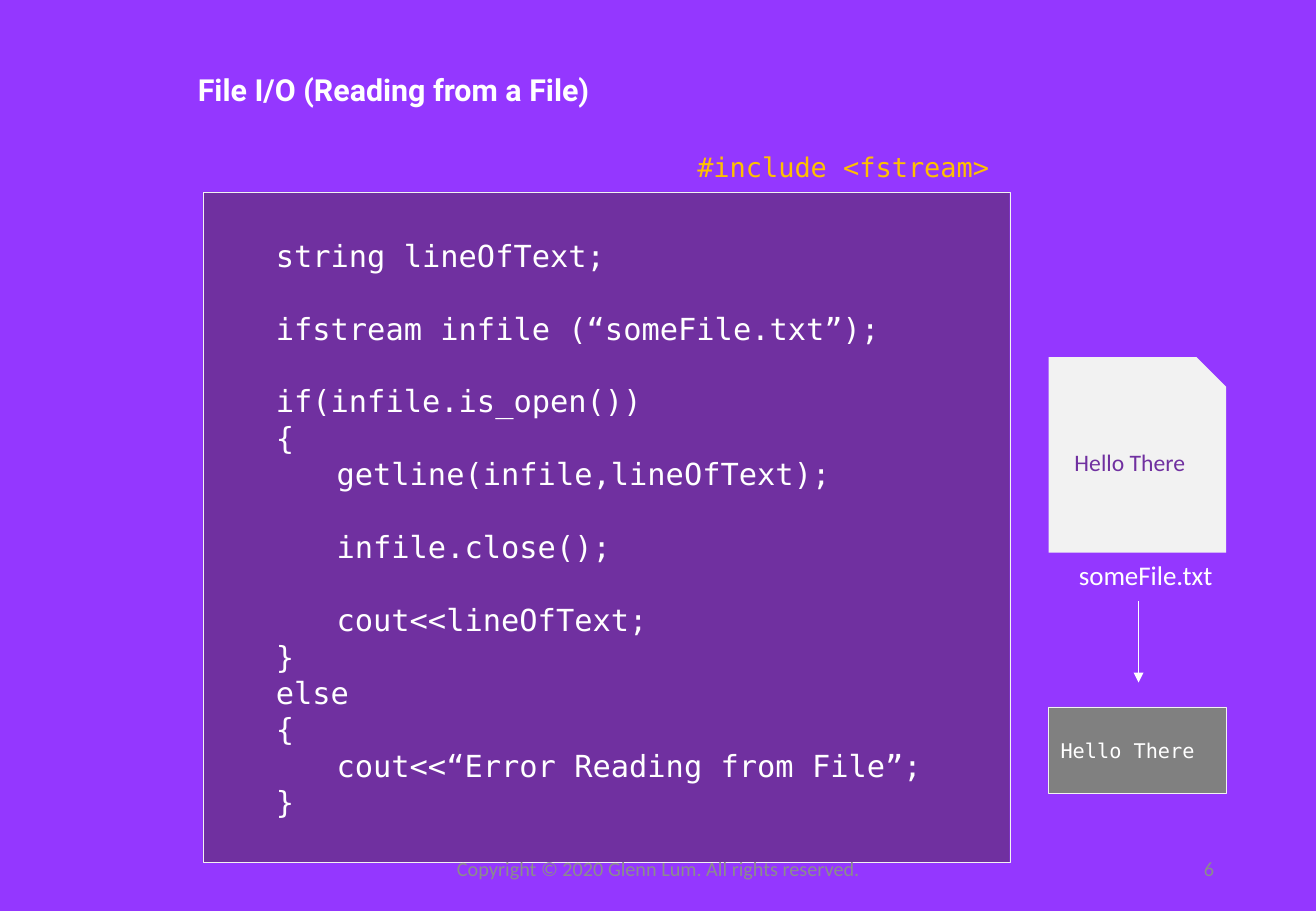
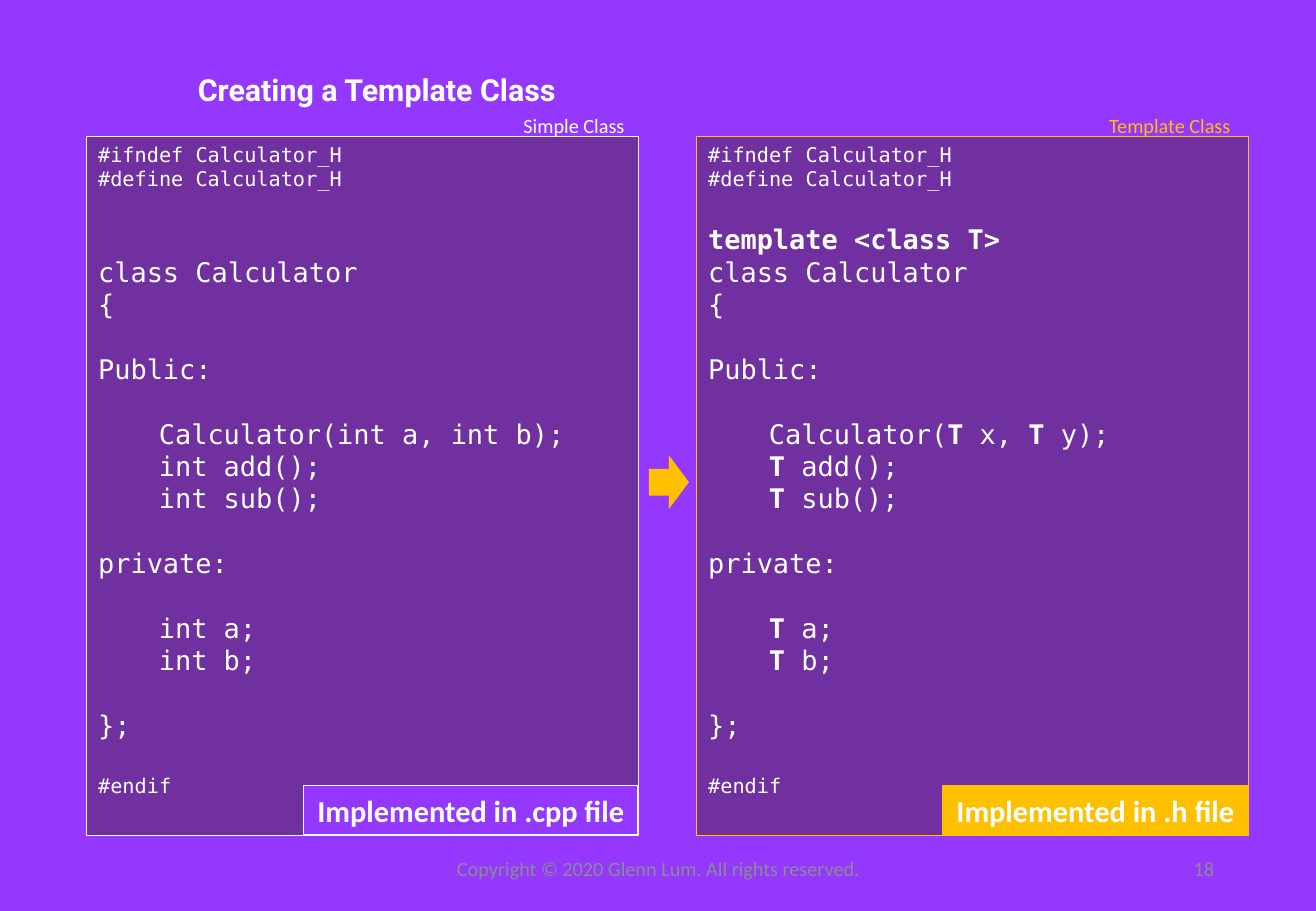
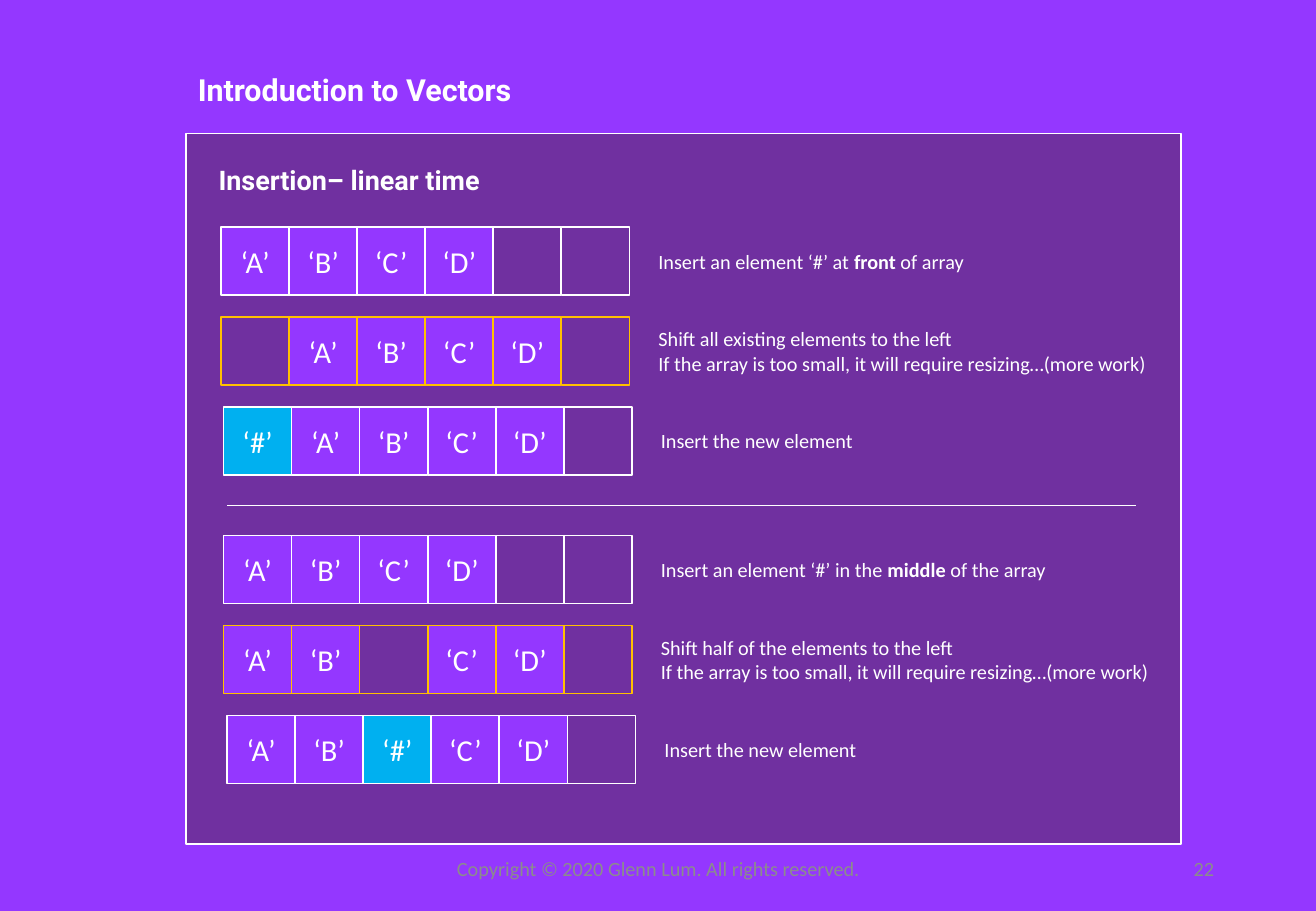
from dataclasses import dataclass

import lxml.etree
import pptx
import pptx.dml.color
import pptx.enum.shapes
import pptx.enum.text
import pptx.oxml.ns
import pptx.util

PX = 9144  # EMU per px: 100 px make one inch
PURPLE, PANEL, PALE, WHITE = "9437FF", "7030A0", "F2F2F2", "FFFFFF"
GOLD, BLUE, GREY, FOOTER = "FFC000", "00B0F0", "808080", "8C8C8C"
SANS, MONO, HEADING = "Calibri", "DejaVu Sans Mono", "Roboto"
CODE_LEADING = 1.2  # line pitch of code, in font sizes
INDENT = 50  # px for four spaces of code

MSO = pptx.enum.shapes.MSO_SHAPE
ALIGN = pptx.enum.text.PP_ALIGN
ANCHOR = pptx.enum.text.MSO_ANCHOR


@dataclass(frozen=True)
class Box:
    x: int
    y: int
    w: int
    h: int

    def emu(self) -> tuple[int, int, int, int]:
        return self.x * PX, self.y * PX, self.w * PX, self.h * PX


@dataclass(frozen=True)
class ArrayRow:
    x: int
    cells: str  # one character a cell, a space is a free cell
    border: str
    label: str


@dataclass(frozen=True)
class ClassPanel:
    x: int
    accent: str
    caption: str
    caption_x: int
    code: str
    tag: str
    tag_width: int
    tag_fill: str
    tag_border: str


# Text and shape helpers
def rgb(value: str) -> pptx.dml.color.RGBColor:
    return pptx.dml.color.RGBColor.from_string(value)


def write(shape, text: str, *, size=12, font=SANS, color=WHITE, bold=False,
          align=ALIGN.LEFT, anchor=ANCHOR.TOP, wrap=True, code=False,
          directive_size=None, left=10, top=5) -> None:
    """Fill a shape with lines; ** toggles bold, blank lines become spacing."""
    frame = shape.text_frame
    frame.word_wrap, frame.vertical_anchor = wrap, anchor
    frame.margin_left, frame.margin_top = left * PX, top * PX
    paragraph, gap = None, 0
    for line in text.split("\n"):
        words = line.lstrip()
        if not words:
            gap += size * CODE_LEADING
            continue
        paragraph = frame.add_paragraph() if paragraph else frame.paragraphs[0]
        paragraph.alignment = align
        line_size = directive_size if directive_size and words[0] == "#" else size
        if gap:
            paragraph.space_before = pptx.util.Pt(round(gap, 1))
            gap = 0
        if code:
            paragraph.line_spacing = pptx.util.Pt(round(line_size * CODE_LEADING, 1))
        level = (len(line) - len(words)) // 4
        if level:
            paragraph._p.get_or_add_pPr().set("marL", str(level * INDENT * PX))
        for i, part in enumerate(words.split("**")):
            if part:
                run = paragraph.add_run()
                run.text = part
                run.font.size = pptx.util.Pt(line_size)
                run.font.name = font
                run.font.bold = bold or i % 2 == 1
                run.font.color.rgb = rgb(color)


def add_text(shapes, box: Box, text: str, **style) -> None:
    write(shapes.add_textbox(*box.emu()), text, **style)


def add_block(shapes, box: Box, fill: str, border: str | None = None,
              weight: float = 0.25, kind=MSO.RECTANGLE, text: str = "", **style):
    block = shapes.add_shape(kind, *box.emu())
    block.shadow.inherit = False
    block.fill.solid()
    block.fill.fore_color.rgb = rgb(fill)
    if border:
        block.line.color.rgb = rgb(border)
        block.line.width = pptx.util.Pt(weight)
    else:
        block.line.fill.background()
    if text:
        write(block, text, **style)
    return block


def add_line(shapes, x1: int, y1: int, x2: int, y2: int, arrow: bool = False) -> None:
    line = shapes.add_connector(pptx.enum.shapes.MSO_CONNECTOR.STRAIGHT,
                                x1 * PX, y1 * PX, x2 * PX, y2 * PX)
    line.line.color.rgb = rgb(WHITE)
    line.line.width = pptx.util.Pt(0.5)
    qn = pptx.oxml.ns.qn
    if arrow:
        lxml.etree.SubElement(line.line._get_or_add_ln(), qn("a:tailEnd"), type="triangle")
    lxml.etree.SubElement(line._element.spPr, qn("a:effectLst"))


# Shared frame of every slide
def start_slide(prs, title: str):
    shapes = prs.slides.add_slide(prs.slide_layouts[6]).shapes
    add_text(shapes, Box(153, 54, 600, 40), title, size=18, font=HEADING, bold=True)
    return shapes


def add_footer(shapes, number: int) -> None:
    add_text(shapes, Box(359, 695, 366, 40),
             "Copyright © 2020 Glenn Lum. All rights reserved.",
             color=FOOTER, align=ALIGN.CENTER, anchor=ANCHOR.MIDDLE)
    add_text(shapes, Box(765, 695, 244, 40), str(number),
             color=FOOTER, align=ALIGN.RIGHT, anchor=ANCHOR.MIDDLE)


# Reading from a file
READ_CODE = """string lineOfText;

ifstream infile (“someFile.txt”);

if(infile.is_open())
{
    getline(infile,lineOfText);

    infile.close();

    cout<<lineOfText;
}
else
{
    cout<<“Error Reading from File”;
}"""


def reading_slide(prs) -> None:
    shapes = start_slide(prs, "File I/O (Reading from a File)")
    add_text(shapes, Box(564, 119, 300, 37), "#include <fstream>",
             size=16, font=MONO, color=GOLD)
    add_block(shapes, Box(167, 158, 664, 552), PANEL, PALE, text=READ_CODE,
              size=18, font=MONO, code=True, left=60, top=37)
    add_block(shapes, Box(863, 294, 146, 161), PALE, kind=MSO.SNIP_1_RECTANGLE,
              text="Hello There", size=14, color=PANEL,
              align=ALIGN.CENTER, anchor=ANCHOR.MIDDLE)
    add_text(shapes, Box(878, 455, 150, 37), "someFile.txt", size=16)
    add_line(shapes, 937, 495, 937, 562, arrow=True)
    add_block(shapes, Box(863, 582, 146, 71), GREY, PALE, text="Hello There",
              font=MONO, anchor=ANCHOR.MIDDLE)
    add_footer(shapes, 6)


# Simple class beside template class
def class_code(prefix: str, kind: str, first: str, second: str) -> str:
    return f"""#ifndef Calculator_H
#define Calculator_H

{prefix}
class Calculator
{{

Public:

    Calculator({kind} {first}, {kind} {second});
    {kind} add();
    {kind} sub();

private:

    {kind} a;
    {kind} b;

}};

#endif"""


CLASS_PANELS = (
    ClassPanel(71, PALE, "Simple Class", 421, class_code("", "int", "a", "b"),
               "Implemented in .cpp file", 275, PURPLE, WHITE),
    ClassPanel(573, GOLD, "Template Class", 903,
               class_code("**template <class T>**", "**T**", "x", "y"),
               "Implemented in .h file", 251, GOLD, GOLD),
)


def template_slide(prs) -> None:
    shapes = start_slide(prs, "Creating a Template Class")
    for panel in CLASS_PANELS:
        frame = Box(panel.x, 112, 454, 576)
        add_block(shapes, frame, PANEL, panel.accent, text=panel.code, size=16,
                  directive_size=12, font=MONO, code=True)
        tag = Box(frame.x + frame.w - panel.tag_width, 647, panel.tag_width, 40)
        add_block(shapes, tag, panel.tag_fill, panel.tag_border, 0.75, text=panel.tag,
                  size=18, bold=True, wrap=False, align=ALIGN.CENTER)
        add_text(shapes, Box(panel.caption_x, 88, 130, 30), panel.caption,
                 color=GOLD if panel.accent == GOLD else WHITE)
    add_block(shapes, Box(534, 375, 33, 44), GOLD, kind=MSO.RIGHT_ARROW)
    add_footer(shapes, 18)


# Vector insertion
CELL, ROW_PITCH, LABEL_OFFSET = 56, 74, 350
RESIZING = "If the array is too small, it will require resizing…(more work)"
FRONT_ROWS = (
    ArrayRow(182, "ABCD  ", WHITE, "Insert an element ‘#’ at **front** of array"),
    ArrayRow(182, " ABCD ", GOLD, f"Shift all existing elements to the left\n{RESIZING}"),
    ArrayRow(184, "#ABCD ", WHITE, "Insert the new element"),
)
MIDDLE_ROWS = (
    ArrayRow(184, "ABCD  ", WHITE, "Insert an element ‘#’ in the **middle **of the array"),
    ArrayRow(184, "AB CD ", GOLD, f"Shift half of the elements to the left\n{RESIZING}"),
    ArrayRow(187, "AB#CD ", WHITE, "Insert the new element"),
)


def add_array_steps(shapes, top: int, rows: tuple[ArrayRow, ...]) -> None:
    steps = shapes.add_group_shape().shapes
    for i, row in enumerate(rows):
        y = top + i * ROW_PITCH
        for column, item in enumerate(row.cells):
            fill = {" ": PANEL, "#": BLUE}.get(item, PURPLE)
            add_block(steps, Box(row.x + column * CELL, y, CELL, CELL), fill, row.border, 1,
                      text="" if item == " " else f"‘{item}’", size=18,
                      wrap=False, align=ALIGN.CENTER, anchor=ANCHOR.MIDDLE)
        add_text(steps, Box(row.x + LABEL_OFFSET, y, 430, CELL), row.label,
                 anchor=ANCHOR.MIDDLE)


def vector_slide(prs) -> None:
    shapes = start_slide(prs, "Introduction to Vectors")
    add_block(shapes, Box(153, 110, 819, 585), PANEL, WHITE, 1)
    add_text(shapes, Box(170, 130, 788, 36), "Insertion– linear time",
             size=16, font=HEADING, bold=True)
    add_array_steps(shapes, 187, FRONT_ROWS)
    add_line(shapes, 187, 416, 935, 416)
    add_array_steps(shapes, 441, MIDDLE_ROWS)
    add_footer(shapes, 22)


def main() -> None:
    prs = pptx.Presentation()
    prs.slide_width, prs.slide_height = 1083 * PX, 750 * PX
    backdrop = prs.slide_master.background.fill
    backdrop.solid()
    backdrop.fore_color.rgb = rgb(PURPLE)
    reading_slide(prs)
    template_slide(prs)
    vector_slide(prs)
    prs.save("out.pptx")


if __name__ == "__main__":
    main()
